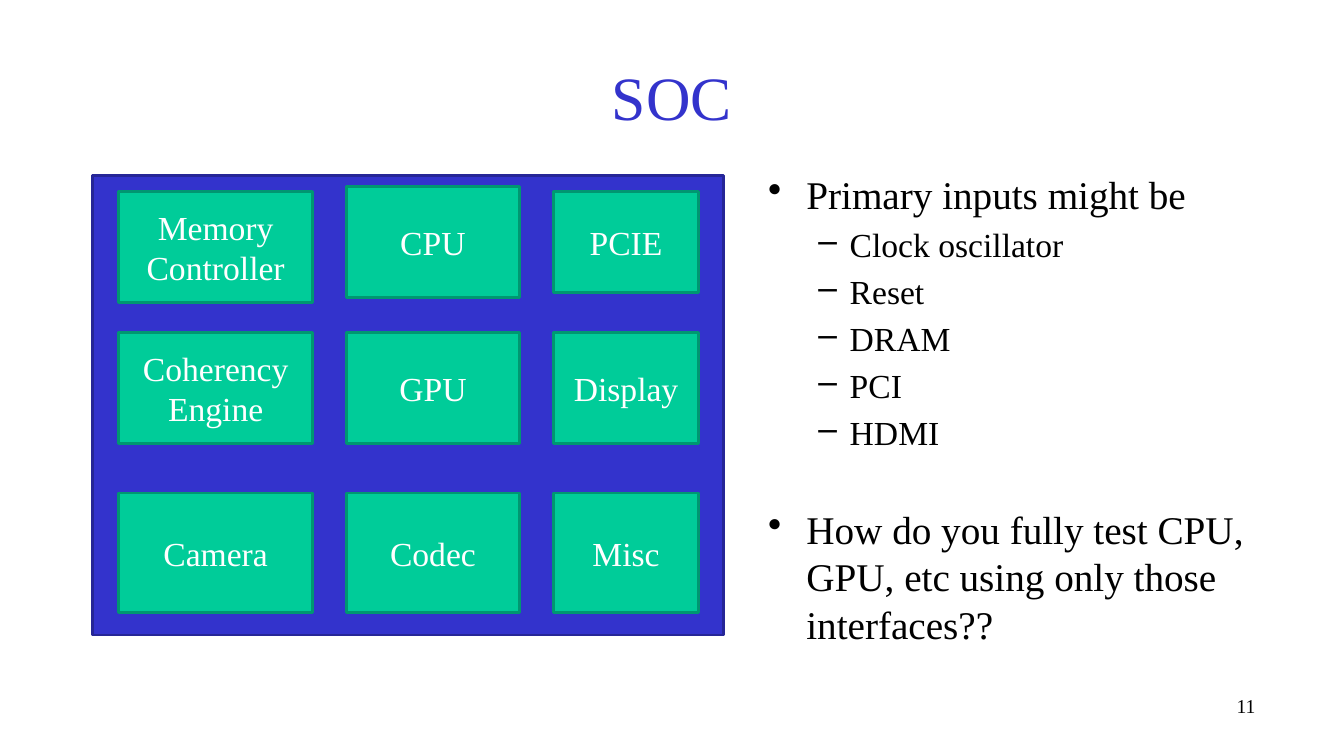
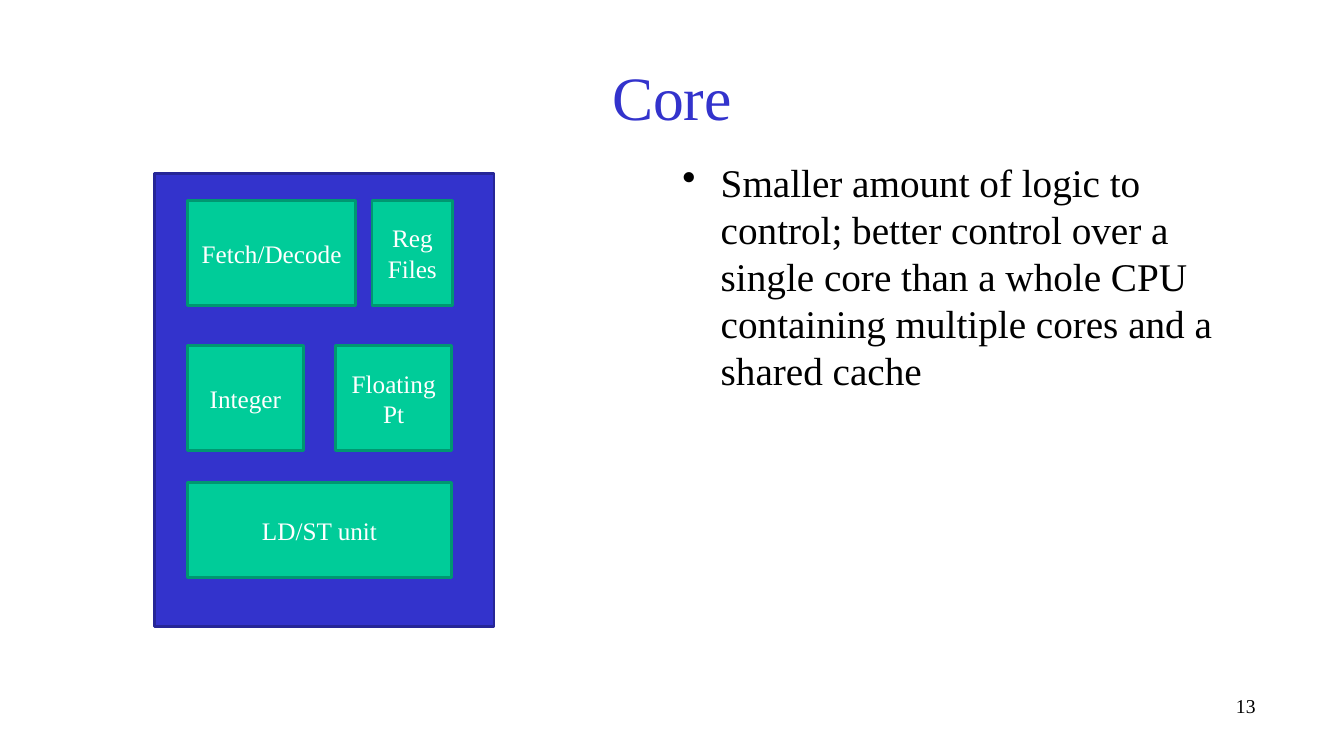
"""Build two slides on chip block diagrams, with lengths as percentages of the slide."""
from dataclasses import dataclass
from typing import NamedTuple

from lxml import etree
from pptx import Presentation
from pptx import util as u
from pptx.dml.color import RGBColor
from pptx.enum import shapes, text
from pptx.oxml import ns


class Track(NamedTuple):
    start: float
    size: float


class Area(NamedTuple):
    col: Track
    row: Track


class Block(NamedTuple):
    label: str
    area: Area


class Level(NamedTuple):
    bullet: str
    margin: float
    hang: float
    size: int


class Bullet(NamedTuple):
    label: str
    level: int = 0
    gap: float = 0


@dataclass(frozen=True)
class Theme:
    font: str = "Times New Roman"
    title: str = "3333CC"
    ink: str = "000000"
    panel: str = "3333CC"
    panel_line: str = "262697"
    block: str = "00CC99"
    block_line: str = "009771"
    block_ink: str = "FFFFFF"
    line_width: float = 2
    title_size: int = 44
    number_size: int = 14
    space_share: float = 0.2
    levels: tuple[Level, ...] = (
        Level("•", 0.38, 0.38, 28),
        Level("–", 0.81, 0.31, 24),
    )
    title_area: Area = Area(Track(7.5, 85), Track(4.4, 16.67))
    number_area: Area = Area(Track(62.5, 31.66), Track(91.07, 6.67))


@dataclass(frozen=True)
class Page:
    title: str
    number: int
    panel: Area
    blocks: list[Block]
    block_size: int
    body: Area
    bullets: list[Bullet]


THEME = Theme()
prs = Presentation()
prs.slide_width, prs.slide_height = u.Inches(13.33), u.Inches(7.5)


def place(area: Area) -> tuple[int, int, int, int]:
    col, row = area
    return (
        round(prs.slide_width * col.start / 100),
        round(prs.slide_height * row.start / 100),
        round(prs.slide_width * col.size / 100),
        round(prs.slide_height * row.size / 100),
    )


def style(p, size: float, color: str, align=text.PP_ALIGN.LEFT) -> None:
    p.alignment = align
    for r in p.runs:
        r.font.name = THEME.font
        r.font.size = u.Pt(size)
        r.font.color.rgb = RGBColor.from_string(color)


def add_title(s, title: str) -> None:
    sp = s.shapes.title
    sp.left, sp.top, sp.width, sp.height = place(THEME.title_area)
    tf = sp.text_frame
    tf.text = title
    tf.auto_size = text.MSO_AUTO_SIZE.NONE
    tf.vertical_anchor = text.MSO_ANCHOR.MIDDLE
    style(tf.paragraphs[0], THEME.title_size, THEME.title, text.PP_ALIGN.CENTER)


def add_rect(s, area: Area, fill: str, line: str):
    sp = s.shapes.add_shape(shapes.MSO_SHAPE.RECTANGLE, *place(area))
    sp.shadow.inherit = False
    sp.fill.solid()
    sp.fill.fore_color.rgb = RGBColor.from_string(fill)
    sp.line.color.rgb = RGBColor.from_string(line)
    sp.line.width = u.Pt(THEME.line_width)
    return sp


def add_block(s, block: Block, size: int) -> None:
    tf = add_rect(s, block.area, THEME.block, THEME.block_line).text_frame
    tf.text = block.label
    tf.word_wrap = True
    tf.vertical_anchor = text.MSO_ANCHOR.MIDDLE
    for p in tf.paragraphs:
        style(p, size, THEME.block_ink, text.PP_ALIGN.CENTER)


def add_text(s, area: Area, content: str):
    tf = s.shapes.add_textbox(*place(area)).text_frame
    tf.word_wrap = True
    tf.text = content
    return tf


def add_bullets(s, area: Area, bullets: list[Bullet]) -> None:
    tf = add_text(s, area, "\n".join(b.label for b in bullets))
    for p, bullet in zip(tf.paragraphs, bullets):
        level = THEME.levels[bullet.level]
        style(p, level.size, THEME.ink)
        p.level = bullet.level
        p.space_before = u.Pt(level.size * THEME.space_share + bullet.gap)
        pPr = p._p.get_or_add_pPr()
        pPr.set("marL", str(u.Inches(level.margin)))
        pPr.set("indent", str(-u.Inches(level.hang)))
        etree.SubElement(pPr, ns.qn("a:buChar")).set("char", level.bullet)


def add_page(page: Page) -> None:
    s = prs.slides.add_slide(prs.slide_layouts[5])
    add_title(s, page.title)
    tf = add_text(s, THEME.number_area, str(page.number))
    style(tf.paragraphs[0], THEME.number_size, THEME.ink, text.PP_ALIGN.RIGHT)
    add_rect(s, page.panel, THEME.panel, THEME.panel_line)
    add_bullets(s, page.body, page.bullets)
    for block in page.blocks:
        add_block(s, block, page.block_size)


left, middle, right = Track(8.85, 14.4), Track(25.8, 12.83), Track(41.18, 10.8)
top, center, bottom = Track(25.33, 14.67), Track(44, 14.67), Track(65.2, 15.87)
soc = Page(
    title="SOC",
    number=11,
    panel=Area(Track(6.9, 46.96), Track(23.2, 60.8)),
    blocks=[
        Block("Memory\nController", Area(left, top)),
        Block("CPU", Area(middle, Track(24.67, 14.67))),
        Block("PCIE", Area(right, Track(25.33, 13.33))),
        Block("Coherency Engine", Area(left, center)),
        Block("GPU", Area(middle, center)),
        Block("Display", Area(right, center)),
        Block("Camera", Area(left, bottom)),
        Block("Codec", Area(middle, bottom)),
        Block("Misc", Area(right, bottom)),
    ],
    block_size=24,
    body=Area(Track(56.41, 37.36), Track(21.87, 63.47)),
    bullets=[
        Bullet("Primary inputs might be"),
        *(Bullet(name, 1) for name in ("Clock oscillator", "Reset", "DRAM", "PCI", "HDMI")),
        Bullet("How do you fully test CPU, GPU, etc using only those interfaces??", gap=32.4),
    ],
)

front, execute, memory = Track(26.53, 13.87), Track(45.73, 13.87), Track(63.87, 12.53)
core = Page(
    title="Core",
    number=13,
    panel=Area(Track(11.48, 25.28), Track(22.93, 60)),
    blocks=[
        Block("Fetch/Decode", Area(Track(13.95, 12.53), front)),
        Block("Reg Files", Area(Track(27.68, 6), front)),
        Block("Integer", Area(Track(13.95, 8.63), execute)),
        Block("Floating Pt", Area(Track(24.98, 8.63), execute)),
        Block("LD/ST unit", Area(Track(13.95, 19.65), memory)),
    ],
    block_size=18,
    body=Area(Track(50.04, 41.71), Track(20.27, 64.4)),
    bullets=[
        Bullet(
            "Smaller amount of logic to control; better control over a single core "
            "than a whole CPU containing multiple cores and a shared cache"
        ),
    ],
)

for page in (soc, core):
    add_page(page)
prs.save("out.pptx")
